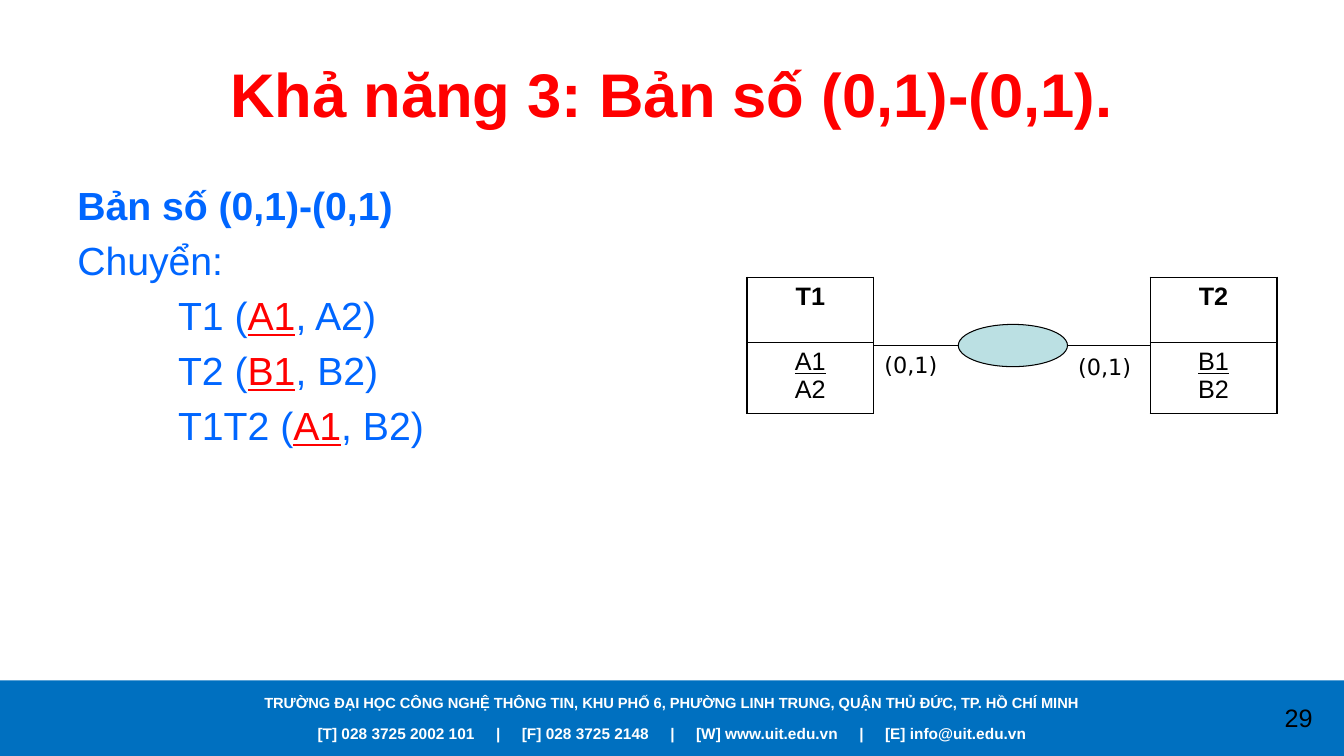
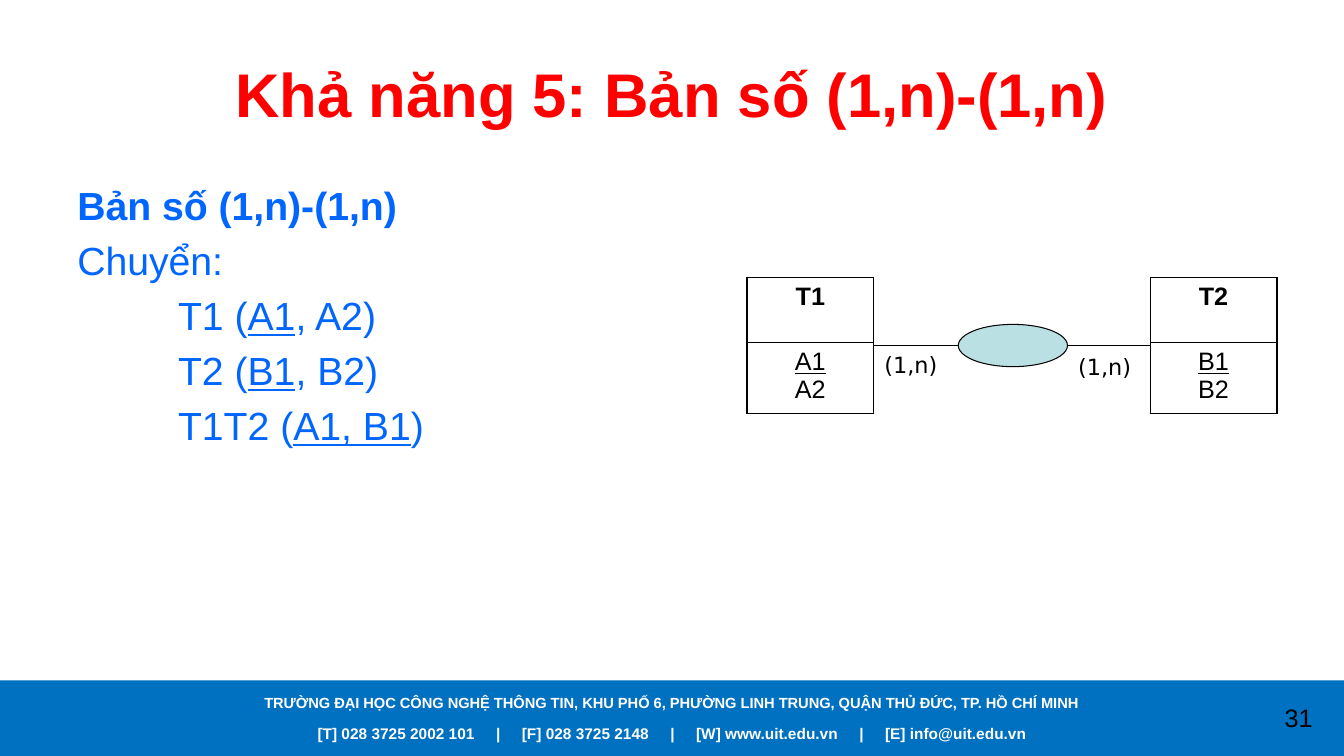
from lxml.etree import SubElement
from pptx import Presentation
from pptx.dml.color import RGBColor
from pptx.enum.shapes import MSO_CONNECTOR, MSO_SHAPE
from pptx.enum.text import MSO_AUTO_SIZE, PP_ALIGN
from pptx.oxml.ns import qn
from pptx.util import Pt

CENTER = PP_ALIGN.CENTER
LEFT = PP_ALIGN.LEFT
NO_AUTOFIT = MSO_AUTO_SIZE.NONE
STRAIGHT = MSO_CONNECTOR.STRAIGHT
RECTANGLE, OVAL = MSO_SHAPE.RECTANGLE, MSO_SHAPE.OVAL

BLACK, WHITE, RED, BLUE = "000000", "FFFFFF", "FF0000", "0066FF"
BAND_BLUE, PALE_TEAL = "0070C0", "BBE0E3"
BODY_FONT, LABEL_FONT = "Arial", "DejaVu Sans"

ADDRESS = ("TRƯỜNG ĐẠI HỌC CÔNG NGHỆ THÔNG TIN, KHU PHỐ 6, "
           "PHƯỜNG LINH TRUNG, QUẬN THỦ ĐỨC, TP. HỒ CHÍ MINH")
CONTACTS = ["[T] 028 3725 2002 101", "[F] 028 3725 2148",
            "[W] www.uit.edu.vn", "[E] info@uit.edu.vn"]
ENTITIES = [("T1", "A1", "A2"), ("T2", "B1", "B2")]

# Each relation is (text before the key, key, text after the key).
SLIDES = [
    {"title": "Khả năng 3: Bản số (0,1)-(0,1).",
     "heading": "Bản số (0,1)-(0,1)",
     "relations": [("T1 (", "A1", ", A2)"), ("T2 (", "B1", ", B2)"),
                   ("T1T2 (", "A1", ", B2)")],
     "key_color": RED, "cardinality": "(0,1)", "number": "29"},
    {"title": "Khả năng 5: Bản số (1,n)-(1,n)",
     "heading": "Bản số (1,n)-(1,n)",
     "relations": [("T1 (", "A1", ", A2)"), ("T2 (", "B1", ", B2)"),
                   ("T1T2 (", "A1, B1", ")")],
     "key_color": BLUE, "cardinality": "(1,n)", "number": "31"},
]

SLIDE_WIDTH, SLIDE_HEIGHT = 960, 540
BAND_HEIGHT = 54
TITLE_AREA = (48, 21.6, 864, 90)
BODY_AREA = (48, 126, 424, 356.4)
RELATION_INDENT = 72
TABLE_LEFTS, TABLE_TOP, TABLE_WIDTH = (533.5, 821.5), 198, 90.7
ROW_HEIGHTS = (46.8, 50.4)
OVAL_WIDTH, OVAL_HEIGHT, LINK_Y = 78, 30.2, 246.8
LABEL_SIZE = (55.4, 26.6)


def rgb(color):
    return RGBColor.from_string(color)


def points(*lengths):
    return [Pt(length) for length in lengths]


def add_span(para, text, size, color, bold=False, underline=None, font=BODY_FONT):
    span = para.add_run()
    span.text = text
    span.font.name = font
    span.font.size = Pt(size)
    span.font.bold = bold
    span.font.underline = underline
    span.font.color.rgb = rgb(color)
    return span


def add_text_box(shapes, area, align=CENTER, wrap=True):
    """Add a text box and return its first paragraph."""
    frame = shapes.add_textbox(*points(*area)).text_frame
    frame.word_wrap = wrap
    para = frame.paragraphs[0]
    para.alignment = align
    return para


def place(shape, area):
    shape.left, shape.top, shape.width, shape.height = points(*area)


def prepare_layout(deck):
    layout = deck.slide_layouts[1]
    title, body, *unused = layout.placeholders
    place(title, TITLE_AREA)
    place(body, BODY_AREA)
    for placeholder in unused:
        layout.shapes.element.remove(placeholder.element)
    return layout


def add_footer(slide, layout):
    """Draw the band and its two lines, then move them to the layout."""
    shapes = slide.shapes
    first = len(shapes)
    band = shapes.add_shape(RECTANGLE, *points(
        0, SLIDE_HEIGHT - BAND_HEIGHT, SLIDE_WIDTH, BAND_HEIGHT))
    band.shadow.inherit = False
    band.fill.solid()
    band.fill.fore_color.rgb = rgb(BAND_BLUE)
    band.line.fill.background()

    address = add_text_box(shapes, (0, 491.8, SLIDE_WIDTH, 20))
    add_span(address, ADDRESS, 10.5, WHITE, bold=True)
    contact_line = add_text_box(shapes, (112, 513.4, 736, 20.9))
    for index, contact in enumerate(CONTACTS):
        if index:
            for text in (" ", "|", " "):
                span = add_span(contact_line, text, 11, WHITE, bold=True)
                if text == " ":
                    span._r.get_or_add_rPr().set("spc", "1220")
        add_span(contact_line, contact, 11, WHITE, bold=True)

    for shape in list(shapes)[first:]:
        layout.shapes.element.append(shape.element)


def fill_body(frame, content):
    frame.auto_size = NO_AUTOFIT
    lines = [(content["heading"],), ("Chuyển:",), *content["relations"]]
    for index, parts in enumerate(lines):
        para = frame.paragraphs[0] if index == 0 else frame.add_paragraph()
        is_relation = len(parts) > 1
        properties = para._p.get_or_add_pPr()
        properties.set("marL", str(Pt(RELATION_INDENT if is_relation else 0)))
        properties.set("indent", "0")
        SubElement(properties, qn("a:buNone"))
        for position, text in enumerate(parts):
            is_key = position == 1
            add_span(para, text, 28, content["key_color"] if is_key else BLUE,
                     bold=index == 0, underline=is_key)


def set_borders(cell):
    properties = cell._tc.get_or_add_tcPr()
    for index, side in enumerate(("lnL", "lnR", "lnT", "lnB")):
        line = properties.makeelement(qn(f"a:{side}"), {"w": str(Pt(1))})
        fill = SubElement(line, qn("a:solidFill"))
        SubElement(fill, qn("a:srgbClr"), val=BLACK)
        properties.insert(index, line)


def add_entity(shapes, left, name, key, attribute):
    table = shapes.add_table(2, 1, *points(
        left, TABLE_TOP, TABLE_WIDTH, sum(ROW_HEIGHTS))).table
    table.first_row = False
    table.horz_banding = False
    for row, height in zip(table.rows, ROW_HEIGHTS):
        row.height = Pt(height)
        row.cells[0].fill.background()
        set_borders(row.cells[0])
    name_frame, attribute_frame = (cell.text_frame for cell in table.iter_cells())
    lines = [(name_frame.paragraphs[0], name, True, False),
             (attribute_frame.paragraphs[0], key, False, True),
             (attribute_frame.add_paragraph(), attribute, False, False)]
    for para, text, bold, underline in lines:
        para.alignment = CENTER
        add_span(para, text, 18, BLACK, bold, underline)


def add_link(shapes, start, end):
    link = shapes.add_connector(STRAIGHT, *points(start, LINK_Y, end, LINK_Y))
    link.line.color.rgb = rgb(BLACK)
    link.line.width = Pt(0.75)
    SubElement(link.element.spPr, qn("a:effectLst"))


def add_diagram(shapes, cardinality):
    for left, entity in zip(TABLE_LEFTS, ENTITIES):
        add_entity(shapes, left, *entity)

    inner_left, inner_right = TABLE_LEFTS[0] + TABLE_WIDTH, TABLE_LEFTS[1]
    oval_left = (inner_left + inner_right - OVAL_WIDTH) / 2 + 0.7
    oval_right = oval_left + OVAL_WIDTH
    relationship = shapes.add_shape(OVAL, *points(
        oval_left, LINK_Y - OVAL_HEIGHT / 2, OVAL_WIDTH, OVAL_HEIGHT))
    relationship.shadow.inherit = False
    relationship.fill.solid()
    relationship.fill.fore_color.rgb = rgb(PALE_TEAL)
    relationship.line.color.rgb = rgb(BLACK)
    relationship.line.width = Pt(0.75)

    for start, end, drop in ((inner_left, oval_left, 0.4),
                             (oval_right, inner_right, 1.6)):
        add_link(shapes, start, end)
        label = add_text_box(shapes, (start + 0.5, LINK_Y + drop, *LABEL_SIZE),
                             align=LEFT, wrap=False)
        add_span(label, cardinality, 16, BLACK, font=LABEL_FONT)


def fill_slide(slide, content):
    title, body = slide.placeholders
    title.text_frame.auto_size = NO_AUTOFIT
    add_span(title.text_frame.paragraphs[0], content["title"], 44, RED, bold=True)
    fill_body(body.text_frame, content)
    add_diagram(slide.shapes, content["cardinality"])
    number = add_text_box(slide.shapes, (895.7, 498.2, 64, 28.8))
    add_span(number, content["number"], 18, BLACK)


def main():
    deck = Presentation()
    deck.slide_width, deck.slide_height = points(SLIDE_WIDTH, SLIDE_HEIGHT)
    layout = prepare_layout(deck)
    slides = [deck.slides.add_slide(layout) for _ in SLIDES]
    add_footer(slides[0], layout)
    for slide, content in zip(slides, SLIDES):
        fill_slide(slide, content)
    deck.save("out.pptx")


if __name__ == "__main__":
    main()
